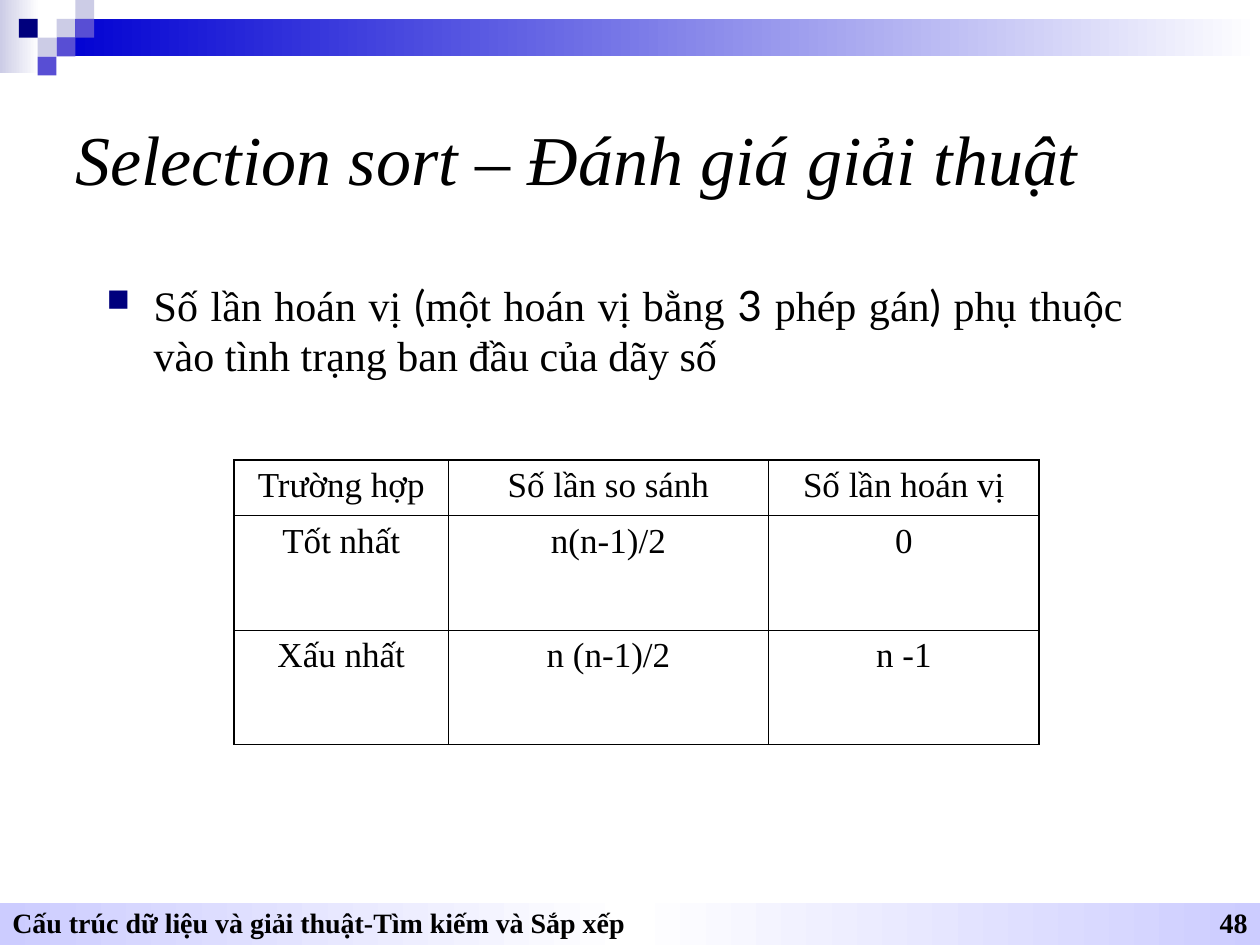
"""Build the slide that evaluates selection sort."""
from dataclasses import dataclass

import lxml.etree
import pptx
import pptx.dml.color
import pptx.enum.shapes
import pptx.enum.text
import pptx.oxml.ns
import pptx.util

Cm = pptx.util.Cm
Pt = pptx.util.Pt
qn = pptx.oxml.ns.qn
Align = pptx.enum.text.PP_ALIGN
Anchor = pptx.enum.text.MSO_ANCHOR


@dataclass(frozen=True)
class Theme:
    serif: str = "Times New Roman"
    sans: str = "Lato"
    text: str = "000000"
    paper: str = "FFFFFF"
    navy: str = "00007D"
    violet: str = "584ED4"
    mist: str = "CCCCE6"
    band: str = "0000D2"
    footer: str = "CCCCFF"
    title_size: int = 40
    body_size: int = 24
    table_size: int = 20
    footer_size: int = 16
    outer_line: float = 1.08
    inner_line: float = 0.45


THEME = Theme()


def rgb(colour):
    return pptx.dml.color.RGBColor.from_string(colour)


def add_block(slide, left, top, width, height, colours):
    """Add a rectangle, plain for one colour and a gradient for several."""
    block = slide.shapes.add_shape(
        pptx.enum.shapes.MSO_SHAPE.RECTANGLE, Cm(left), Cm(top), Cm(width), Cm(height)
    )
    block.shadow.inherit = False
    block.line.fill.background()
    if len(colours) == 1:
        block.fill.solid()
        block.fill.fore_color.rgb = rgb(colours[0])
        return
    block.fill.gradient()
    block.fill.gradient_angle = 0
    stops = block._element.spPr.find(".//" + qn("a:gsLst"))
    for stop in list(stops):
        stops.remove(stop)
    for index, colour in enumerate(colours):
        position = 100000 * index // (len(colours) - 1)
        stop = lxml.etree.SubElement(stops, qn("a:gs"), pos=str(position))
        lxml.etree.SubElement(stop, qn("a:srgbClr"), val=colour)


def style_run(run, size, font=THEME.serif, bold=False, italic=False):
    run.font.name = font
    run.font.size = Pt(size)
    run.font.bold = bold
    run.font.italic = italic
    run.font.color.rgb = rgb(THEME.text)


def add_text(slide, left, top, width, height, anchor, align=Align.LEFT):
    """Add a wrapping text box and return its first paragraph."""
    box = slide.shapes.add_textbox(Cm(left), Cm(top), Cm(width), Cm(height))
    box.text_frame.word_wrap = True
    box.text_frame.vertical_anchor = anchor
    paragraph = box.text_frame.paragraphs[0]
    paragraph.alignment = align
    return paragraph


def add_label(slide, wording, place, anchor, size, align=Align.LEFT, **emphasis):
    label = add_text(slide, *place, anchor, align)
    label.text = wording
    style_run(label.runs[0], size, **emphasis)


def set_bullet(paragraph):
    """Give a paragraph a small square bullet with a hanging indent."""
    properties = paragraph._p.get_or_add_pPr()
    properties.set("marL", str(Cm(0.95)))
    properties.set("indent", str(Cm(-0.95)))
    colour = lxml.etree.SubElement(properties, qn("a:buClr"))
    lxml.etree.SubElement(colour, qn("a:srgbClr"), val=THEME.navy)
    lxml.etree.SubElement(properties, qn("a:buSzPct"), val="75000")
    lxml.etree.SubElement(properties, qn("a:buChar"), char="■")


def add_statement(slide, pieces):
    """Add the bulleted statement from wording and font pairs."""
    statement = add_text(slide, 1.9, 5.5, 20.98, 11.43, Anchor.TOP, Align.JUSTIFY)
    statement.space_before = Pt(6)
    set_bullet(statement)
    for wording, font in pieces:
        run = statement.add_run()
        run.text = wording
        style_run(run, THEME.body_size, font)


def set_borders(cell, outer_sides):
    """Rule all four sides of a cell, heavier on the outer ones."""
    properties = cell._tc.get_or_add_tcPr()
    for side in "LRTB":
        width = THEME.outer_line if side in outer_sides else THEME.inner_line
        line = lxml.etree.SubElement(properties, qn("a:ln" + side), w=str(Pt(width)))
        fill = lxml.etree.SubElement(line, qn("a:solidFill"))
        lxml.etree.SubElement(fill, qn("a:srgbClr"), val=THEME.text)


def add_cost_table(slide, costs, widths, heights):
    """Add the ruled table of comparison and swap counts."""
    table = slide.shapes.add_table(
        len(heights), len(widths), Cm(4.72), Cm(9.27), Cm(sum(widths)), Cm(sum(heights))
    ).table
    table.first_row = table.horz_banding = False
    for column, width in zip(table.columns, widths):
        column.width = Cm(width)
    for row, height in zip(table.rows, heights):
        row.height = Cm(height)
    for r, case in enumerate(costs):
        for c, wording in enumerate(case):
            cell = table.cell(r, c)
            edges = {"L": c == 0, "R": c == len(widths) - 1,
                     "T": r == 0, "B": r == len(heights) - 1}
            set_borders(cell, [side for side, outer in edges.items() if outer])
            cell.fill.background()
            cell.text = wording
            paragraph = cell.text_frame.paragraphs[0]
            paragraph.alignment = Align.CENTER
            paragraph.space_before = Pt(5)
            style_run(paragraph.runs[0], THEME.table_size)


def add_decoration(slide):
    """Add the footer band, the header band and its mosaic of squares."""
    add_block(slide, 0, 18.21, 25.4, 0.84, [THEME.footer, THEME.paper, THEME.footer])
    add_block(slide, 0, 0, 0.79, 1.47, [THEME.mist, THEME.paper])
    add_block(slide, 1.14, 0.38, 24.26, 0.75, [THEME.band, THEME.paper])
    side = 0.38
    mosaic = [(3, 1, THEME.mist), (4, 0, THEME.mist), (4, 1, THEME.violet),
              (2, 2, THEME.mist), (1, 1, THEME.navy), (3, 2, THEME.violet),
              (2, 3, THEME.violet)]
    for column, row, colour in mosaic:
        add_block(slide, column * side, row * side, side, side, [colour])


def main():
    deck = pptx.Presentation()
    deck.slide_width, deck.slide_height = Cm(25.4), Cm(19.05)
    slide = deck.slides.add_slide(deck.slide_layouts[6])
    add_decoration(slide)
    add_label(slide, "Cấu trúc dữ liệu và giải thuật-Tìm kiếm và Sắp xếp",
              (0, 18.21, 17.98, 0.84), Anchor.BOTTOM, THEME.footer_size, bold=True)
    add_label(slide, "48", (19.48, 18.21, 5.92, 0.84), Anchor.BOTTOM,
              THEME.footer_size, Align.RIGHT, bold=True)
    add_label(slide, "Selection sort – Đánh giá giải thuật",
              (1.27, 1.27, 22.86, 3.81), Anchor.MIDDLE, THEME.title_size, italic=True)
    add_statement(slide, [
        ("Số lần hoán vị", THEME.serif),
        (" (", THEME.sans),
        ("một hoán vị bằng", THEME.serif),
        (" 3 ", THEME.sans),
        ("phép gán", THEME.serif),
        (") ", THEME.sans),
        ("phụ thuộc vào tình trạng ban đầu của dãy số", THEME.serif),
    ])
    costs = [
        ("Trường hợp", "Số lần so sánh", "Số lần hoán vị"),
        ("Tốt nhất", "n(n-1)/2", "0"),
        ("Xấu nhất", "n (n-1)/2", "n -1"),
    ]
    add_cost_table(slide, costs, widths=(4.32, 6.45, 5.46), heights=(1.12, 2.31, 2.31))
    deck.save("out.pptx")


if __name__ == "__main__":
    main()
